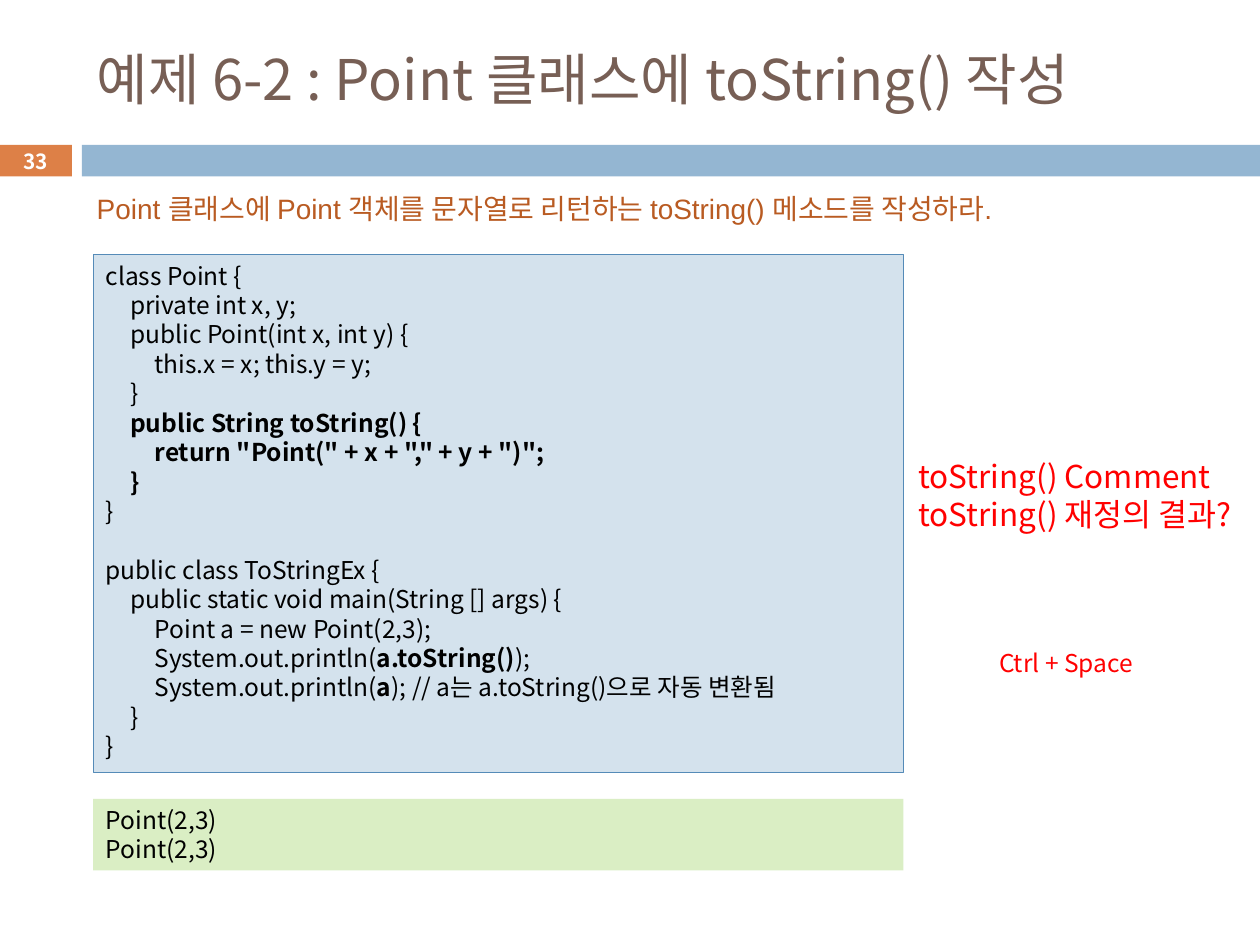
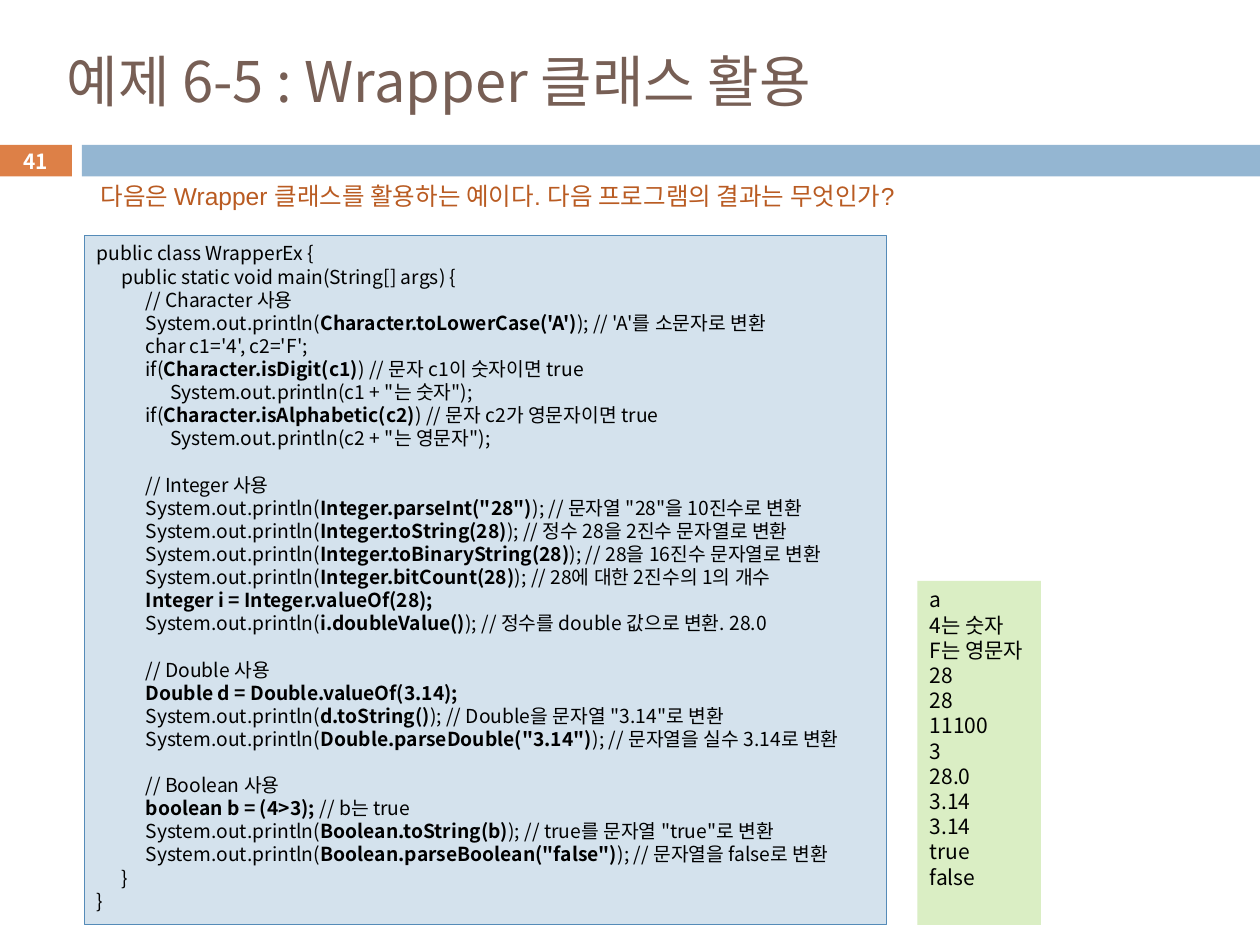
"""Build two Java example slides: overriding toString() and using wrapper classes."""
from dataclasses import dataclass

from lxml.etree import SubElement
from pptx import Presentation
from pptx.dml.color import RGBColor
from pptx.enum.shapes import MSO_SHAPE as Shape
from pptx.enum.text import MSO_ANCHOR as Anchor, PP_ALIGN as Align
from pptx.oxml.ns import qn
from pptx.util import Pt

POINT_CODE = [
    "class Point {",
    "    private int x, y;",
    "    public Point(int x, int y) {",
    "        this.x = x; this.y = y;",
    "    }",
    "    *public String toString() {*",
    '        *return "Point(" + x + "," + y + ")";*',
    "    *}*",
    "}",
    "",
    "public class ToStringEx {",
    "    public static void main(String [] args) {",
    "        Point a = new Point(2,3);",
    "        System.out.println(*a.toString()*);",
    "        System.out.println(*a*); // a는 a.toString()으로 자동 변환됨",
    "    }",
    "}",
]

WRAPPER_CODE = [
    "public class WrapperEx {",
    "    public static void main(String[] args) {",
    "        // Character 사용",
    "        System.out.println(*Character.toLowerCase('A')*); // 'A'를 소문자로 변환",
    "        char c1='4', c2='F';",
    "        if(*Character.isDigit(c1)*) // 문자 c1이 숫자이면 true",
    '            System.out.println(c1 + "는 숫자");',
    "        if(*Character.isAlphabetic(c2)*) // 문자 c2가 영문자이면 true",
    '            System.out.println(c2 + "는 영문자");',
    "",
    "        // Integer 사용",
    '        System.out.println(*Integer.parseInt("28")*); // 문자열 "28"을 10진수로 변환',
    "        System.out.println(*Integer.toString(28)*); // 정수 28을 2진수 문자열로 변환",
    "        System.out.println(*Integer.toBinaryString(28)*); // 28을 16진수 문자열로 변환",
    "        System.out.println(*Integer.bitCount(28)*); // 28에 대한 2진수의 1의 개수",
    "        *Integer i = Integer.valueOf(28);*",
    "        System.out.println(*i.doubleValue()*); // 정수를 double 값으로 변환. 28.0",
    "",
    "        // Double 사용",
    "        *Double d = Double.valueOf(3.14);*",
    '        System.out.println(*d.toString()*); // Double을 문자열 "3.14"로 변환',
    '        System.out.println(*Double.parseDouble("3.14")*); // 문자열을 실수 3.14로 변환',
    "",
    "        // Boolean 사용",
    "        *boolean b = (4>3); *// b는 true",
    '        System.out.println(*Boolean.toString(b)*); // true를 문자열 "true"로 변환',
    '        System.out.println(*Boolean.parseBoolean("false")*); // 문자열을 false로 변환',
    "    }",
    "}",
]

WRAPPER_OUTPUT = ["a", "4는 숫자", "F는 영문자", "28", "28", "11100", "3", "28.0",
                  "3.14", "3.14", "true", "false"]

EXAMPLES = [
    {
        "number": "33",
        "title": ("예제 6-2 : Point 클래스에 toString() 작성", (48.2, 18, 642, 53.3)),
        "task": ("Point 클래스에 Point 객체를 문자열로 리턴하는 toString() 메소드를 작성하라.",
                 (48.2, 105.8, 635, 26.6), 16),
        "code": (POINT_CODE, (53.3, 145.4, 463, 296), 14),
        "output": (["Point(2,3)", "Point(2,3)"], (53.3, 456.5, 463, 41), 14),
        "remarks": [
            (["toString() Comment", "toString() 재정의 결과?"],
             (517.7, 257.8, 202.3, 51.1), 18),
            (["Ctrl + Space"], (563.8, 366.5, 94.3, 24.5), 14),
        ],
    },
    {
        "number": "41",
        "title": ("예제 6-5 : Wrapper 클래스 활용", (31, 18, 680.4, 55.4)),
        "task": ("다음은 Wrapper 클래스를 활용하는 예이다. 다음 프로그램의 결과는 무엇인가?",
                 (50.4, 100.1, 615.6, 24.5), 14),
        "code": (WRAPPER_CODE, (48.2, 134.6, 458.6, 393.8), 11),
        "output": (WRAPPER_OUTPUT, (524.2, 331.9, 70.6, 196.6), 12),
        "remarks": [],
    },
]

NUMBER_BAND = (-0.7, 82.8, 41.8, 18)
TITLE_BAND = (46.8, 82.8, 673.2, 18)
INDENT = "    "


@dataclass(frozen=True)
class Theme:
    font: str = "Noto Sans CJK KR"
    task_font: str = "Arial"
    title: str = "775F55"
    task: str = "B95B22"
    text: str = "000000"
    remark: str = "FF0000"
    number: str = "FFFFFF"
    number_band: str = "DD8047"
    title_band: str = "94B6D2"
    code_fill: str = "D4E2ED"
    code_line: str = "558BB8"
    output_fill: str = "DAEEC4"
    title_size: float = 32
    number_size: float = 11.9
    leading: float = 1.2
    tab: float = 14
    tab_count: int = 3


THEME = Theme()


def rgb(value):
    return RGBColor.from_string(value)


def add_panel(slide, place, fill, line=None):
    panel = slide.shapes.add_shape(Shape.RECTANGLE, *map(Pt, place))
    panel.shadow.inherit = False
    panel.fill.solid()
    panel.fill.fore_color.rgb = rgb(fill)
    if line:
        panel.line.color.rgb = rgb(line)
        panel.line.width = Pt(0.75)
    else:
        panel.line.fill.background()
    return panel


def add_label(slide, place):
    return slide.shapes.add_textbox(*map(Pt, place))


def add_tab_stops(paragraph):
    stops = SubElement(paragraph._p.get_or_add_pPr(), qn("a:tabLst"))
    for step in range(1, THEME.tab_count + 1):
        SubElement(stops, qn("a:tab"), pos=str(Pt(THEME.tab * step)), algn="l")


def write(holder, lines, size, color, font=THEME.font, bold=False, align=Align.LEFT,
          anchor=Anchor.TOP, wrap=True, leading=THEME.leading):
    frame = holder.text_frame
    frame.word_wrap = wrap
    frame.vertical_anchor = anchor
    for index, line in enumerate(lines):
        paragraph = frame.paragraphs[0] if index == 0 else frame.add_paragraph()
        paragraph.alignment = align
        if leading:
            paragraph.line_spacing = Pt(size * leading)
        if line.startswith(INDENT):
            add_tab_stops(paragraph)
        style = paragraph.font
        style.size, style.bold, style.name = Pt(size), bold, font
        style.color.rgb = rgb(color)
        SubElement(style._element, qn("a:ea"), typeface=THEME.font)
        for part, words in enumerate(line.replace(INDENT, "\t").split("*")):
            if words:
                run = paragraph.add_run()
                run.text = words
                if part % 2:
                    run.font.bold = True


def add_header(slide, title, number):
    number_band = add_panel(slide, NUMBER_BAND, THEME.number_band)
    add_panel(slide, TITLE_BAND, THEME.title_band)
    words, place = title
    write(add_label(slide, place), [words], THEME.title_size, THEME.title,
          anchor=Anchor.MIDDLE, leading=None)
    write(number_band, [number], THEME.number_size, THEME.number, bold=True,
          align=Align.CENTER, anchor=Anchor.MIDDLE, leading=None)


def add_example(slide, example):
    add_header(slide, example["title"], example["number"])
    task, place, size = example["task"]
    write(add_label(slide, place), [task], size, THEME.task, font=THEME.task_font)
    code, place, size = example["code"]
    write(add_panel(slide, place, THEME.code_fill, THEME.code_line), code, size, THEME.text)
    output, place, size = example["output"]
    write(add_panel(slide, place, THEME.output_fill), output, size, THEME.text)
    for remark, place, size in example["remarks"]:
        write(add_label(slide, place), remark, size, THEME.remark, wrap=False)


def main():
    deck = Presentation()
    deck.slide_width, deck.slide_height = Pt(720), Pt(540)
    blank = deck.slide_layouts[6]
    for example in EXAMPLES:
        add_example(deck.slides.add_slide(blank), example)
    deck.save("out.pptx")


if __name__ == "__main__":
    main()
